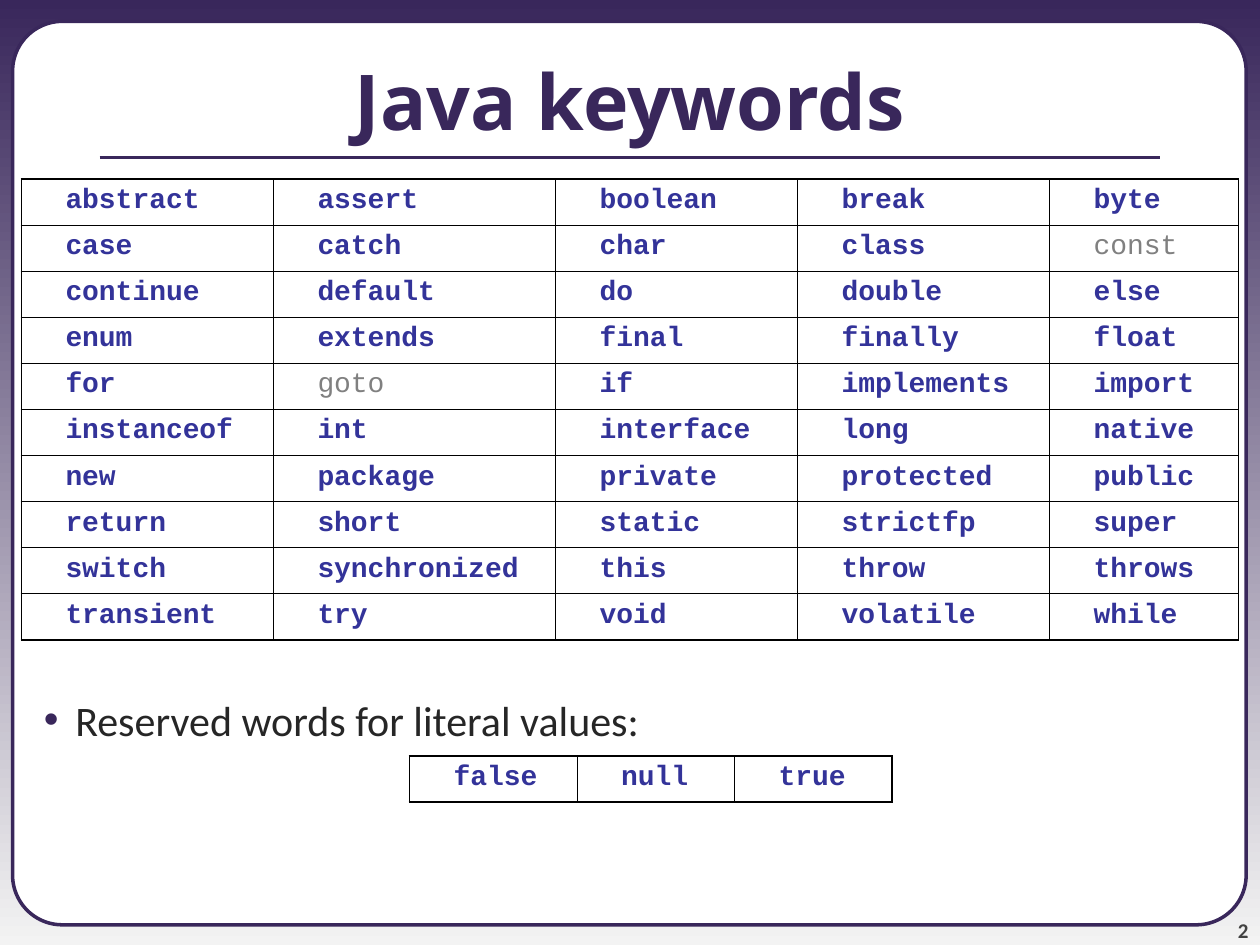
from lxml import etree
from pptx import Presentation
from pptx.dml.color import RGBColor
from pptx.enum.shapes import MSO_CONNECTOR, MSO_SHAPE
from pptx.enum.text import MSO_ANCHOR, MSO_AUTO_SIZE, PP_ALIGN
from pptx.oxml.ns import qn
from pptx.util import Inches, Pt

ROUNDED = MSO_SHAPE.ROUNDED_RECTANGLE
STRAIGHT = MSO_CONNECTOR.STRAIGHT
LEFT, CENTER, RIGHT = PP_ALIGN.LEFT, PP_ALIGN.CENTER, PP_ALIGN.RIGHT
TOP, MIDDLE, BOTTOM = MSO_ANCHOR.TOP, MSO_ANCHOR.MIDDLE, MSO_ANCHOR.BOTTOM

COLORS = {
    "purple": "39275B", "pale": "F3F3F3", "white": "FFFFFF", "black": "000000",
    "text": "262626", "number": "424242", "keyword": "333399", "unused": "808080",
}
UNUSED_KEYWORDS = {"const", "goto"}
KEYWORDS = [row.split() for row in (
    "abstract assert boolean break byte",
    "case catch char class const",
    "continue default do double else",
    "enum extends final finally float",
    "for goto if implements import",
    "instanceof int interface long native",
    "new package private protected public",
    "return short static strictfp super",
    "switch synchronized this throw throws",
    "transient try void volatile while",
)]
LITERALS = [["false", "null", "true"]]
ROW_HEIGHT = 0.366
OUTER, INNER = 1.08, 0.45


def color(name):
    return RGBColor.from_string(COLORS[name])


def write(frame, text, *, size, font, fill, bold=False, align=LEFT,
          indent=0, hanging=0, bullet=None):
    """Put one formatted paragraph into a text frame."""
    para = frame.paragraphs[0]
    para.alignment = align
    properties = para._p.get_or_add_pPr()
    properties.set("marL", str(Inches(indent)))
    properties.set("indent", str(Inches(-hanging)))
    if bullet:
        shade = etree.SubElement(properties, qn("a:buClr"))
        etree.SubElement(shade, qn("a:srgbClr"), val=COLORS["purple"])
        etree.SubElement(properties, qn("a:buFont"), typeface="Arial")
        etree.SubElement(properties, qn("a:buChar"), char=bullet)
    span = para.add_run()
    span.text = text
    span.font.size = Pt(size)
    span.font.name = font
    span.font.bold = bold
    span.font.color.rgb = color(fill)


def set_frame(frame, anchor, horizontal=0.1, vertical=0.05):
    frame.word_wrap = True
    frame.auto_size = MSO_AUTO_SIZE.NONE
    frame.vertical_anchor = anchor
    frame.margin_left = frame.margin_right = Inches(horizontal)
    frame.margin_top = frame.margin_bottom = Inches(vertical)


def paint_background(page):
    fill = page.background.fill
    fill.gradient()
    fill.gradient_angle = 270
    for stop, position, name in zip(fill.gradient_stops, (0, 1), ("purple", "pale")):
        stop.position = position
        stop.color.rgb = color(name)


def add_panel(page):
    panel = page.shapes.add_shape(
        ROUNDED, Inches(0.1), Inches(0.17), Inches(9.79), Inches(7.17))
    panel.adjustments[0] = 0.055
    panel.shadow.inherit = False
    panel.fill.solid()
    panel.fill.fore_color.rgb = color("white")
    panel.line.color.rgb = color("purple")
    panel.line.width = Pt(2)


def add_rule(page):
    rule = page.shapes.add_connector(
        STRAIGHT, Inches(0.79), Inches(1.25), Inches(9.21), Inches(1.25))
    rule.line.color.rgb = color("purple")
    rule.line.width = Pt(2.25)
    etree.SubElement(rule._element.spPr, qn("a:effectLst"))


def place_title(page, text):
    title = page.shapes.title
    title.left, title.top = Inches(0), Inches(0.17)
    title.width, title.height = Inches(10), Inches(1.25)
    set_frame(title.text_frame, MIDDLE)
    write(title.text_frame, text, size=44, font="Open Sans", fill="purple",
          bold=True, align=CENTER)
    # Bring the title in front of the panel
    page.shapes._spTree.append(title._element)


def add_text(page, text, left, top, width, height, *, anchor=TOP,
             margins=(0.1, 0.05), **style):
    box = page.shapes.add_textbox(
        Inches(left), Inches(top), Inches(width), Inches(height))
    set_frame(box.text_frame, anchor, *margins)
    write(box.text_frame, text, **style)


def set_border(cell, side, width):
    line = etree.SubElement(
        cell._tc.get_or_add_tcPr(), qn(f"a:ln{side}"), w=str(Pt(width)))
    fill = etree.SubElement(line, qn("a:solidFill"))
    etree.SubElement(fill, qn("a:srgbClr"), val=COLORS["black"])


def add_word_table(page, words, left, top, widths):
    """Draw a grid of code words with a heavier outer border."""
    last_row, last_column = len(words) - 1, len(widths) - 1
    table = page.shapes.add_table(
        len(words), len(widths), Inches(left), Inches(top),
        Inches(sum(widths)), Inches(ROW_HEIGHT * len(words))).table
    table.first_row = table.horz_banding = False
    for column, width in zip(table.columns, widths):
        column.width = Inches(width)
    for i, row in enumerate(words):
        table.rows[i].height = Inches(ROW_HEIGHT)
        for j, word in enumerate(row):
            cell = table.cell(i, j)
            edges = {"L": j == 0, "R": j == last_column,
                     "T": i == 0, "B": i == last_row}
            for side, is_outer in edges.items():
                set_border(cell, side, OUTER if is_outer else INNER)
            cell.fill.background()
            unused = word in UNUSED_KEYWORDS
            write(cell.text_frame, word, size=16, font="Courier New",
                  fill="unused" if unused else "keyword", bold=not unused,
                  indent=0.25)


def main():
    deck = Presentation()
    deck.slide_width, deck.slide_height = Inches(10), Inches(7.5)
    page = deck.slides.add_slide(deck.slide_layouts[5])

    # Frame of the slide
    paint_background(page)
    add_panel(page)
    add_text(page, "2", 9.08, 7.08, 0.83, 0.4, anchor=BOTTOM, margins=(0, 0),
             size=12, font="Calibri", fill="number", bold=True, align=RIGHT)
    add_rule(page)
    place_title(page, "Java keywords")

    # Keywords and literals
    add_text(page, "Reserved words for literal values:", 0, 5.46, 10, 0.5,
             size=24, font="Calibri", fill="text",
             indent=0.5, hanging=0.25, bullet="•")
    add_word_table(page, KEYWORDS, 0.17, 1.42, (2, 2.24, 1.92, 2, 1.5))
    add_word_table(page, LITERALS, 3.25, 6, (1.33, 1.25, 1.25))

    deck.save("out.pptx")


if __name__ == "__main__":
    main()
